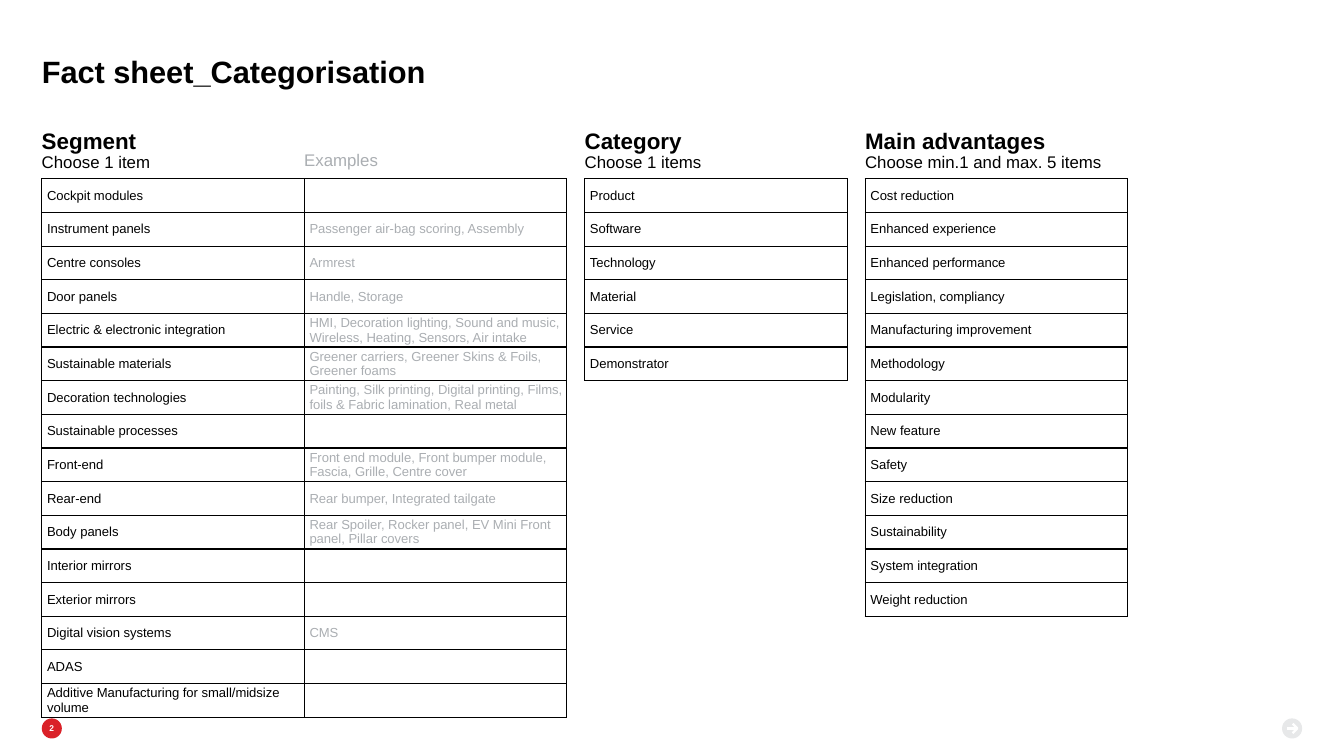
from lxml.etree import SubElement
from pptx import Presentation
from pptx.dml.color import RGBColor
from pptx.enum.shapes import MSO_CONNECTOR, MSO_SHAPE
from pptx.enum.text import MSO_ANCHOR, MSO_AUTO_SIZE, PP_ALIGN
from pptx.oxml.ns import qn
from pptx.util import Cm, Pt

BLACK, GREY, RED, PALE, WHITE = "000000", "AAAEB2", "DA2128", "E7E8E9", "FFFFFF"


def color(value):
    return RGBColor.from_string(value)


def write(frame, lines, anchor=MSO_ANCHOR.TOP, align=PP_ALIGN.LEFT, spacing=0.9):
    frame.word_wrap = True
    frame.auto_size = MSO_AUTO_SIZE.NONE
    frame.vertical_anchor = anchor
    frame.margin_left = frame.margin_right = frame.margin_top = frame.margin_bottom = 0
    frame.text = "\n".join(line[0] for line in lines)
    for paragraph, (text, size, bold, tint) in zip(frame.paragraphs, lines):
        paragraph.alignment = align
        paragraph.line_spacing = spacing
        font = paragraph.runs[0].font
        font.name, font.size, font.bold = "Arial", Pt(size), bold
        font.color.rgb = color(tint)


deck = Presentation()
deck.slide_width, deck.slide_height = Cm(25.4), Cm(14.29)
page = deck.slides.add_slide(deck.slide_layouts[5])

title = page.shapes.title
title.left, title.top, title.width, title.height = Cm(0.79), Cm(0.61), Cm(20), Cm(1.1)
write(title.text_frame, [("Fact sheet_Categorisation", 16.5, True, BLACK)], MSO_ANCHOR.BOTTOM)

segments = [
    ("Cockpit modules", ""),
    ("Instrument panels", "Passenger air-bag scoring, Assembly"),
    ("Centre consoles", "Armrest"),
    ("Door panels", "Handle, Storage"),
    ("Electric & electronic integration",
     "HMI, Decoration lighting, Sound and music, Wireless, Heating, Sensors, Air intake"),
    ("Sustainable materials", "Greener carriers, Greener Skins & Foils, Greener foams"),
    ("Decoration technologies",
     "Painting, Silk printing, Digital printing, Films, foils & Fabric lamination, Real metal"),
    ("Sustainable processes", ""),
    ("Front-end", "Front end module, Front bumper module, Fascia, Grille, Centre cover"),
    ("Rear-end", "Rear bumper, Integrated tailgate"),
    ("Body panels", "Rear Spoiler, Rocker panel, EV Mini Front panel, Pillar covers"),
    ("Interior mirrors", ""),
    ("Exterior mirrors", ""),
    ("Digital vision systems", "CMS"),
    ("ADAS", ""),
    ("Additive Manufacturing for small/midsize volume", ""),
]
categories = ["Product", "Software", "Technology", "Material", "Service", "Demonstrator"]
advantages = [
    "Cost reduction", "Enhanced experience", "Enhanced performance", "Legislation, compliancy",
    "Manufacturing improvement", "Methodology", "Modularity", "New feature", "Safety",
    "Size reduction", "Sustainability", "System integration", "Weight reduction",
]
segment_names, examples = zip(*segments)

columns = [
    (16.35, "Main advantages", "Choose min.1 and max. 5 items", advantages, BLACK),
    (11.05, "Category", "Choose 1 items", categories, BLACK),
    (0.79, "Segment", "Choose 1 item", segment_names, BLACK),
    (5.75, "", "Examples", examples, GREY),
]
column_width = Cm(4.96)
row_height = Cm(10.18) // len(segments)

for left, heading, hint, items, tint in columns:
    frame = page.shapes.add_table(
        len(items), 1, Cm(left), Cm(3.38), column_width, row_height * len(items))
    table = frame.table
    table.first_row = table.horz_banding = False
    for row, item in zip(table.rows, items):
        row.height = row_height
        cell = row.cells[0]
        cell.vertical_anchor = MSO_ANCHOR.MIDDLE
        cell.margin_left = Cm(0.1)
        cell.margin_right = cell.margin_top = cell.margin_bottom = 0
        properties = cell._tc.get_or_add_tcPr()
        for side in ("lnL", "lnR", "lnT", "lnB"):
            border = SubElement(properties, qn(f"a:{side}"), w=str(Pt(0.75)))
            SubElement(SubElement(border, qn("a:solidFill")), qn("a:srgbClr"), val=BLACK)
        cell.fill.background()
        paragraph = cell.text_frame.paragraphs[0]
        if item:
            paragraph.text = item
            font = paragraph.runs[0].font
            font.name, font.size = "Arial", Pt(7)
            font.color.rgb = color(tint)
        else:
            SubElement(paragraph._p, qn("a:endParaRPr"), sz="700")

    lines = [(hint, 9, False, tint)]
    top, height = Cm(2.87), Cm(0.48)
    if heading:
        lines.insert(0, (heading, 12, True, tint))
        top, height = Cm(2.46), Cm(1.22)
    box = page.shapes.add_textbox(Cm(left), top, column_width, height)
    write(box.text_frame, lines)

badges = []
for left, fill in ((0.79, RED), (24.23, PALE)):
    badge = page.shapes.add_shape(MSO_SHAPE.OVAL, Cm(left), Cm(13.58), Cm(0.38), Cm(0.38))
    badge.shadow.inherit = False
    badge.fill.solid()
    badge.fill.fore_color.rgb = color(fill)
    badge.line.fill.background()
    badges.append(badge)
write(badges[0].text_frame, [("2", 4.5, True, WHITE)], MSO_ANCHOR.MIDDLE, PP_ALIGN.CENTER, 1.0)
badges[0].text_frame.word_wrap = False

shaft = page.shapes.add_connector(
    MSO_CONNECTOR.STRAIGHT, Cm(24.32), Cm(13.77), Cm(24.52), Cm(13.77))
SubElement(shaft._element.spPr, qn("a:effectLst"))
builder = page.shapes.build_freeform(Cm(24.43), Cm(13.68))
builder.add_line_segments([(Cm(24.52), Cm(13.77)), (Cm(24.43), Cm(13.86))], close=False)
chevron = builder.convert_to_shape()
chevron.shadow.inherit = False
chevron.fill.background()
for stroke in (shaft, chevron):
    stroke.line.color.rgb = color(WHITE)
    stroke.line.width = Pt(1.25)

deck.save("out.pptx")
